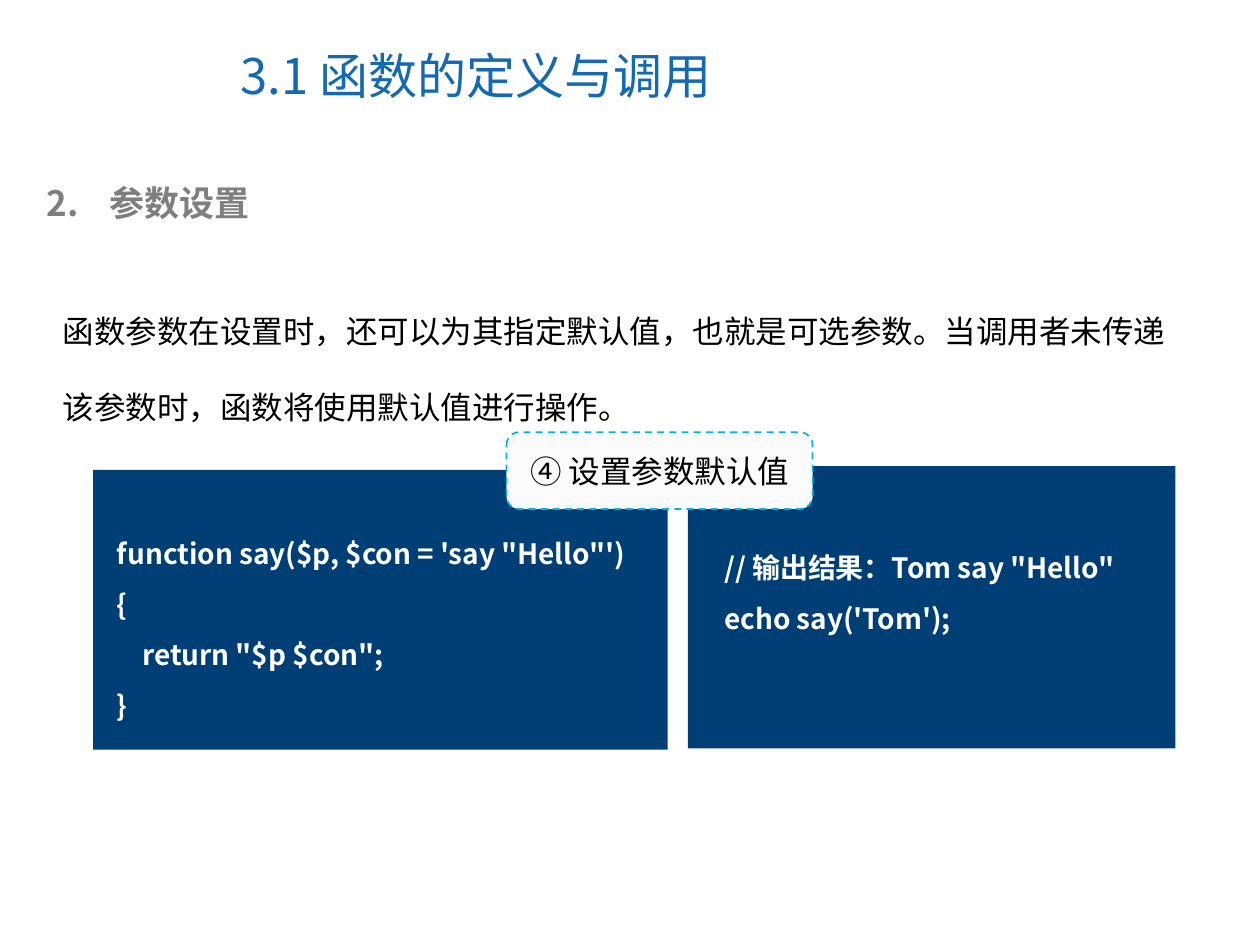
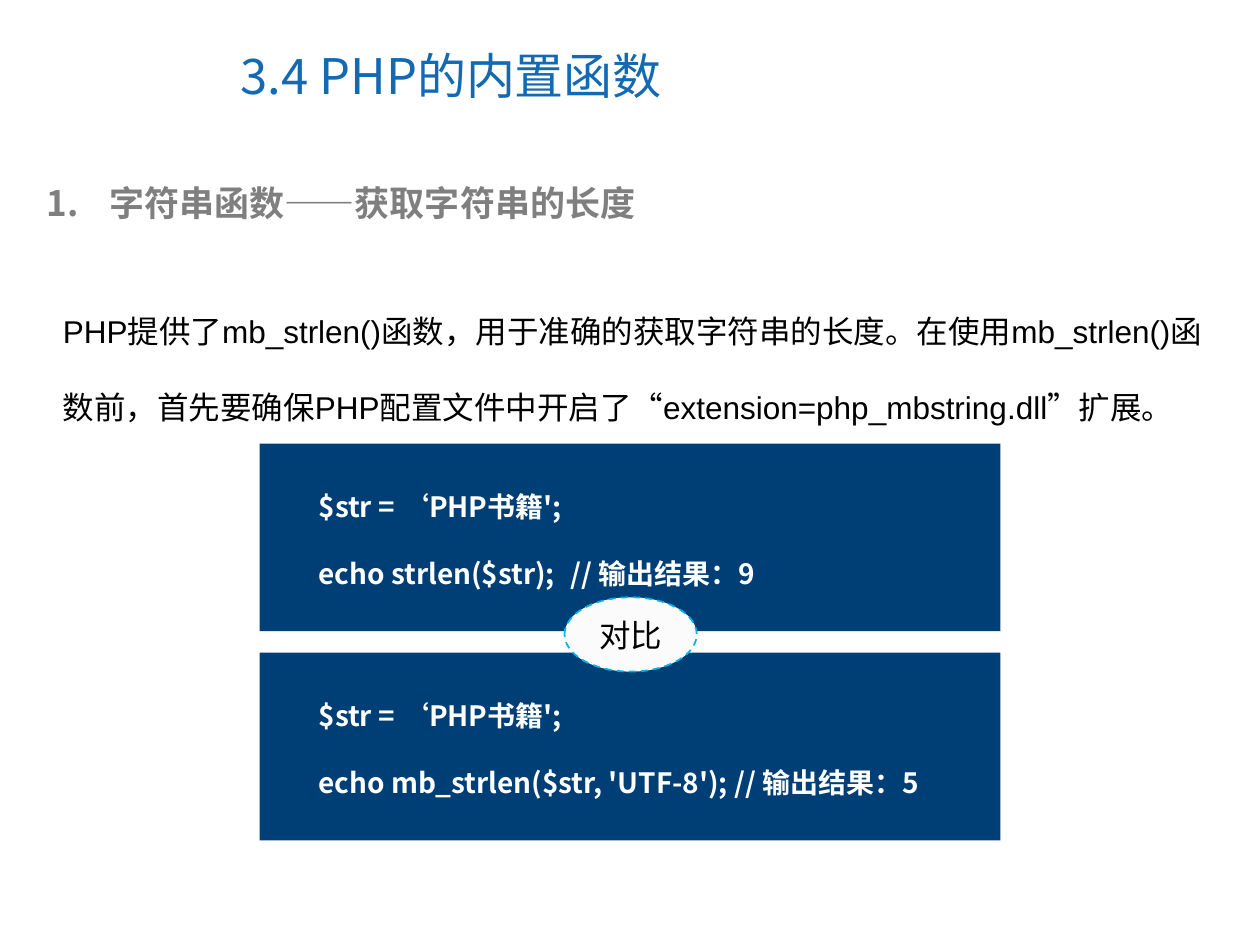
"""Build two slides on PHP functions: default parameters and string length."""
from lxml import etree
from pptx import Presentation
from pptx.dml.color import RGBColor
from pptx.enum.dml import MSO_LINE
from pptx.enum.shapes import MSO_SHAPE
from pptx.enum.text import MSO_ANCHOR, MSO_AUTO_SIZE, PP_ALIGN
from pptx.oxml.ns import qn
from pptx.util import Inches, Pt

RECT, ROUND, OVAL = MSO_SHAPE.RECTANGLE, MSO_SHAPE.ROUNDED_RECTANGLE, MSO_SHAPE.OVAL
LEFT, CENTER = PP_ALIGN.LEFT, PP_ALIGN.CENTER
MIDDLE, FIXED, DASH = MSO_ANCHOR.MIDDLE, MSO_AUTO_SIZE.NONE, MSO_LINE.DASH
TITLE_ONLY = 5
SANS, BODY = "Noto Sans CJK SC", "Arial"
COLORS = {
    "title": "1369B2",
    "head": "7F7F7F",
    "text": "000000",
    "panel": "003F75",
    "code": "FFFFFF",
    "label": "FBFBFB",
    "edge": "00B4E9",
}


def color(name):
    return RGBColor.from_string(COLORS[name])


class Deck:
    def __init__(self):
        self.prs = Presentation()
        self.prs.slide_width, self.prs.slide_height = Inches(10), Inches(7.5)
        self.slide = None

    def style(self, frame, size, tone, font=SANS, bold=False, align=LEFT, space=1.0):
        frame.word_wrap = True
        for para in frame.paragraphs:
            para.alignment, para.line_spacing = align, space
            for run in para.runs:
                run.font.size, run.font.bold = Pt(size), bold
                run.font.name = font
                run.font.color.rgb = color(tone)
                east = etree.SubElement(run.font._element, qn("a:ea"))
                east.set("typeface", SANS)

    def page(self, title):
        layout = self.prs.slide_layouts[TITLE_ONLY]
        self.slide = self.prs.slides.add_slide(layout)
        shape = self.slide.shapes.title
        shape.left, shape.top = Inches(1.81), Inches(0.17)
        shape.width, shape.height = Inches(5.16), Inches(0.85)
        frame = shape.text_frame
        frame.text = title
        frame.auto_size, frame.vertical_anchor = FIXED, MIDDLE
        self.style(frame, 28, "title")

    def text(self, box, words, size, tone, **look):
        shape = self.slide.shapes.add_textbox(*map(Inches, box))
        shape.text_frame.text = words
        self.style(shape.text_frame, size, tone, **look)
        return shape.text_frame

    def head(self, number, words):
        frame = self.text((0.27, 1.39, 9.22, 0.44), words, 20, "head", bold=True)
        props = frame.paragraphs[0]._p.get_or_add_pPr()
        props.set("marL", str(Inches(0.5)))
        props.set("indent", str(Inches(-0.5)))
        tint = etree.SubElement(props, qn("a:buClr"))
        etree.SubElement(tint, qn("a:srgbClr")).set("val", COLORS["head"])
        mark = etree.SubElement(props, qn("a:buAutoNum"))
        mark.set("type", "arabicPeriod")
        mark.set("startAt", str(number))

    def body(self, width, height, words):
        box = (0.4, 2.13, width, height)
        self.text(box, words, 18, "text", font=BODY, space=2.0)

    def shape(self, kind, box, fill):
        shape = self.slide.shapes.add_shape(kind, *map(Inches, box))
        shape.shadow.inherit = False
        shape.fill.solid()
        shape.fill.fore_color.rgb = color(fill)
        return shape

    def panel(self, box, inner, lines, space):
        self.shape(RECT, box, "panel").line.fill.background()
        words = "\n".join(lines)
        self.text(inner, words, 16, "code", bold=True, space=space)

    def label(self, kind, box, words):
        shape = self.shape(kind, box, "label")
        shape.line.color.rgb = color("edge")
        shape.line.width, shape.line.dash_style = Pt(1), DASH
        shape.text_frame.text = words
        shape.text_frame.vertical_anchor = MIDDLE
        self.style(shape.text_frame, 18, "text", font=BODY, align=CENTER)


def defaults(deck):
    deck.page("3.1 函数的定义与调用")
    deck.head(2, "参数设置")
    deck.body(9.19, 1.3, "函数参数在设置时，还可以为其指定默认值，也就是可选参数。"
              "当调用者未传递该参数时，函数将使用默认值进行操作。")
    deck.panel((5.46, 3.7, 3.87, 2.24), (5.65, 4.19, 3.68, 0.9),
               ["// 输出结果：Tom say \"Hello\"", "echo say('Tom');"], 1.5)
    deck.panel((0.74, 3.73, 4.56, 2.22), (0.83, 4.08, 4.45, 1.7),
               ["function say($p, $con = 'say \"Hello\"')", "{",
                "    return \"$p $con\";", "}"], 1.5)
    deck.label(ROUND, (4.02, 3.43, 2.43, 0.61), "④ 设置参数默认值")


def lengths(deck):
    deck.page("3.4 PHP的内置函数")
    deck.head(1, "字符串函数——获取字符串的长度")
    deck.body(9.32, 1.9, "PHP提供了mb_strlen()函数，用于准确的获取字符串的长度。"
              "在使用mb_strlen()函数前，首先要确保PHP配置文件中开启了"
              "“extension=php_mbstring.dll”扩展。")
    calls = ["echo strlen($str);\t// 输出结果：9",
             "echo mb_strlen($str, 'UTF-8'); // 输出结果：5"]
    for row, call in enumerate(calls):
        top = 3.52 + 1.66 * row
        deck.panel((2.06, top, 5.88, 1.49), (2.43, top + 0.05, 5.38, 1.17),
                   ["$str = ‘PHP书籍';", call], 2.0)
    deck.label(OVAL, (4.48, 4.74, 1.05, 0.59), "对比")


def main():
    deck = Deck()
    defaults(deck)
    lengths(deck)
    deck.prs.save("out.pptx")


if __name__ == "__main__":
    main()
